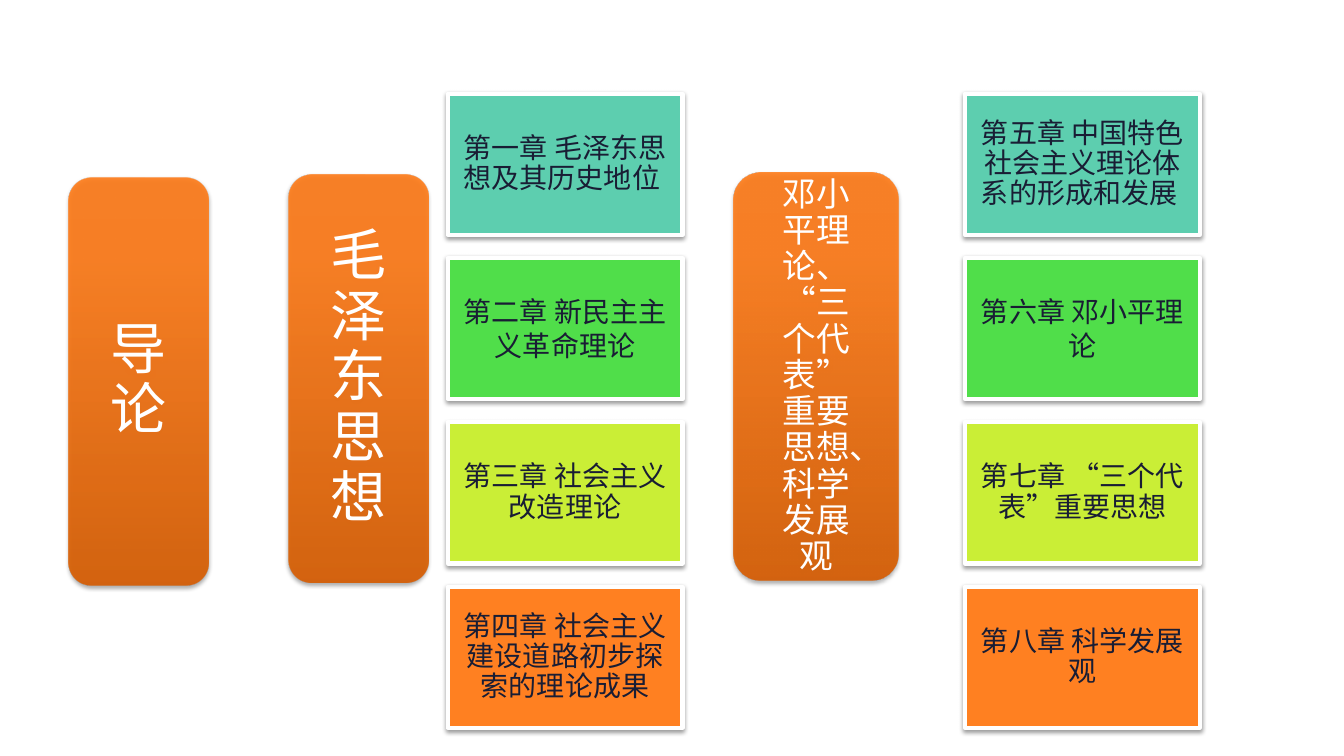
import lxml.etree
import pptx
import pptx.dml.color
import pptx.enum.shapes
import pptx.enum.text
import pptx.oxml
import pptx.oxml.ns
import pptx.util

PX = 9144  # 100 px to the inch
FONT = "Noto Sans CJK SC"
NAMESPACE = pptx.oxml.ns.nsdecls("a")
SHAPES = pptx.enum.shapes.MSO_SHAPE


def color(value):
    return pptx.dml.color.RGBColor.from_string(value)


def add_card(kind, box, text, size, text_color, margins, spacing, shadow_alpha, shadow_distance):
    """Add a centred text card with a soft shadow; its fill and line are left to the caller."""
    shape = slide.shapes.add_shape(kind, *(length * PX for length in box))
    shape.shadow.inherit = False
    effects = shape._element.spPr.find(pptx.oxml.ns.qn("a:effectLst"))
    effects.append(pptx.oxml.parse_xml(
        f'<a:outerShdw {NAMESPACE} blurRad="39370" dist="{shadow_distance}" dir="5400000" '
        f'algn="ctr" rotWithShape="0"><a:srgbClr val="000000">'
        f'<a:alpha val="{shadow_alpha}000"/></a:srgbClr></a:outerShdw>'))
    frame = shape.text_frame
    frame.word_wrap = True
    frame.vertical_anchor = pptx.enum.text.MSO_ANCHOR.MIDDLE
    frame.margin_left = frame.margin_right = margins[0] * PX
    frame.margin_top = frame.margin_bottom = margins[1] * PX
    frame.text = text
    paragraph = frame.paragraphs[0]
    paragraph.alignment = pptx.enum.text.PP_ALIGN.CENTER
    paragraph.line_spacing = spacing
    paragraph.font.name = FONT
    paragraph.font.size = pptx.util.Pt(size)
    paragraph.font.color.rgb = color(text_color)
    defaults = paragraph._p.pPr.find(pptx.oxml.ns.qn("a:defRPr"))
    lxml.etree.SubElement(defaults, pptx.oxml.ns.qn("a:ea"), typeface=FONT)
    return shape


presentation = pptx.Presentation()
presentation.slide_width = 1333 * PX
presentation.slide_height = 750 * PX
slide = presentation.slides.add_slide(presentation.slide_layouts[6])

# Chapters: two columns of four, one colour and line spacing per row
row_styles = [("5DCEAF", 0.9), ("50DE4A", 1.0), ("CAEE36", 0.9), ("FF8021", 0.9)]
chapter_columns = [
    (444, ["第一章 毛泽东思想及其历史地位 ", "第二章 新民主主义革命理论",
           "第三章 社会主义改造理论", "第四章 社会主义建设道路初步探索的理论成果"]),
    (957, ["第五章 中国特色社会主义理论体系的形成和发展 ", "第六章 邓小平理论",
           "第七章 “三个代表”重要思想", "第八章 科学发展观"]),
]
for left, chapters in chapter_columns:
    for row, (chapter, (fill, spacing)) in enumerate(zip(chapters, row_styles)):
        card = add_card(SHAPES.RECTANGLE, (left, 93 + 163 * row, 233, 140), chapter,
                        20, "191D34", (8, 8), spacing, 38, 20320)
        card.fill.solid()
        card.fill.fore_color.rgb = color(fill)
        card.line.color.rgb = color("FFFFFF")
        card.line.width = pptx.util.Pt(3)

# Parts: tall rounded pillars with a vertical gradient
gradient_stops = "".join(
    f'<a:gs pos="{position}000"><a:srgbClr val="{value}"><a:alpha val="90000"/></a:srgbClr></a:gs>'
    for position, value in [(0, "D75C00"), (80, "FF7B18"), (100, "FF7C19")])
pillars = [
    (68, 176, 139, 40, "导论"),
    (286, 173, 139, 40, "毛泽东思想"),
    (728, 171, 163, 24, "邓小平理论、“三个代表”重要思想、科学发展观"),
]
for left, top, width, size, part in pillars:
    pillar = add_card(SHAPES.ROUNDED_RECTANGLE, (left, top, width, 405), part,
                      size, "FFFFFF", (24, 30), 0.9, 35, 22860)
    pillar.line.fill.background()
    properties = pillar._element.spPr
    properties.find(pptx.oxml.ns.qn("a:prstGeom")).addnext(pptx.oxml.parse_xml(
        f'<a:gradFill {NAMESPACE} rotWithShape="1"><a:gsLst>{gradient_stops}</a:gsLst>'
        f'<a:lin ang="16200000" scaled="0"/></a:gradFill>'))

presentation.save("out.pptx")
